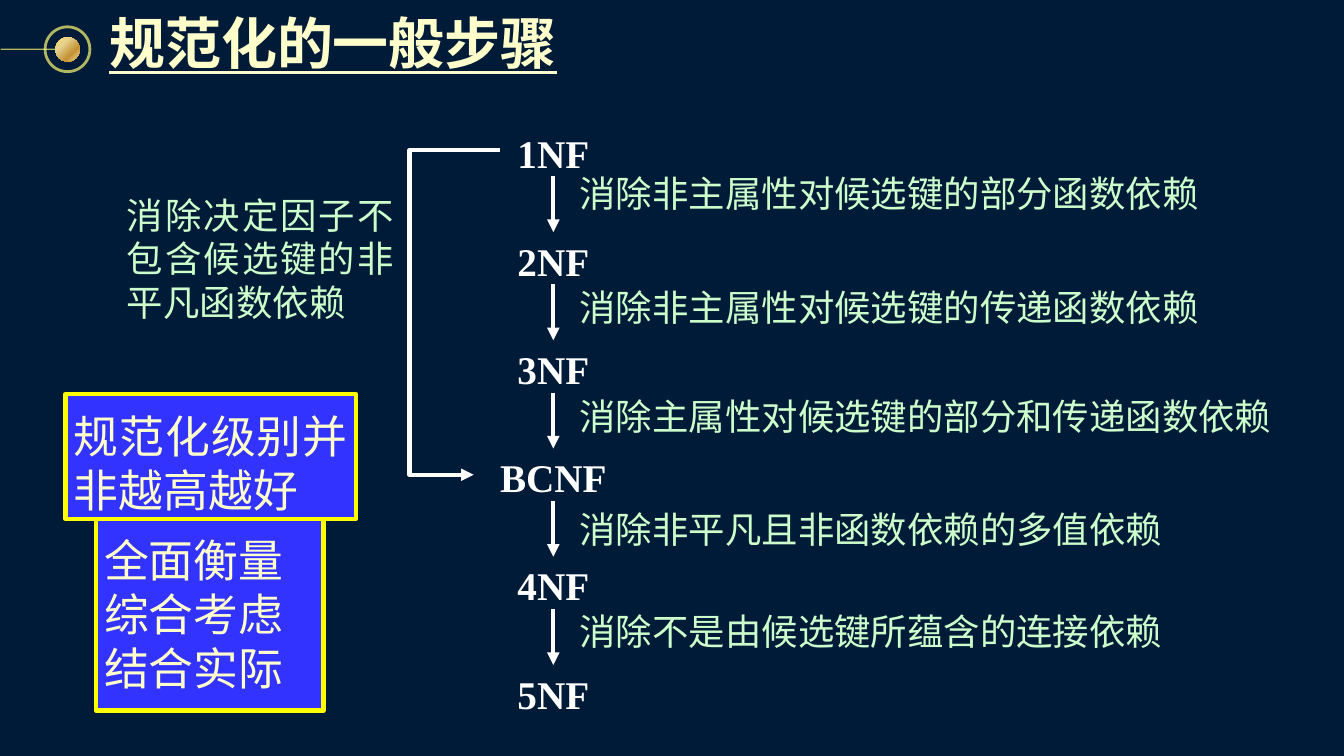
from dataclasses import dataclass

from lxml import etree
from pptx import Presentation
from pptx.dml.color import RGBColor
from pptx.enum.shapes import MSO_CONNECTOR, MSO_SHAPE
from pptx.enum.text import MSO_ANCHOR, MSO_AUTO_SIZE, PP_ALIGN
from pptx.oxml.ns import qn
from pptx.util import Pt

STRAIGHT, ELBOW = MSO_CONNECTOR.STRAIGHT, MSO_CONNECTOR.ELBOW
OVAL, RECTANGLE = MSO_SHAPE.OVAL, MSO_SHAPE.RECTANGLE
LEFT, CENTER, JUSTIFY = PP_ALIGN.LEFT, PP_ALIGN.CENTER, PP_ALIGN.JUSTIFY
TOP, MIDDLE = MSO_ANCHOR.TOP, MSO_ANCHOR.MIDDLE

NAVY, WHITE, CREAM, MINT = "001B37", "FFFFFF", "FFFFCC", "CCFFCC"
BLUE, YELLOW, PALE_YELLOW = "3333FF", "FFFF00", "FCF873"
GOLD_STOPS = [(0, "FCD860"), (31, "E6D38F"), (68, "C69135"), (100, "F1DF97")]
SERIF, CHINESE = "Times New Roman", "Noto Sans CJK SC"

FORM_TOP, FORM_PITCH, FORM_HEIGHT = 88.5, 77.3, 37.4
FORM_CENTER = 395.25


@dataclass
class Box:
    left: float
    top: float
    width: float
    height: float

    def lengths(self) -> tuple:
        return Pt(self.left), Pt(self.top), Pt(self.width), Pt(self.height)


@dataclass
class Remark:
    text: str
    box: Box


@dataclass
class Panel:
    lines: list
    box: Box


FORMS = ["1NF", "2NF", "3NF", "BCNF", "4NF", "5NF"]
REMARKS = [
    Remark("消除非主属性对候选键的部分函数依赖", Box(414, 119.5, 455, 31.7)),
    Remark("消除非主属性对候选键的传递函数依赖", Box(414, 200.5, 455, 31.7)),
    Remark("消除主属性对候选键的部分和传递函数依赖", Box(414, 278.5, 512, 31.7)),
    Remark("消除非平凡且非函数依赖的多值依赖", Box(414, 359.5, 432, 31.7)),
    Remark("消除不是由候选键所蕴含的连接依赖", Box(414, 432, 427, 31.7)),
    Remark("消除决定因子不包含候选键的非平凡函数依赖", Box(90.7, 134.6, 190.8, 94.3)),
]
PANELS = [
    Panel(["全面衡量", "综合考虑", "结合实际"], Box(68.4, 360.7, 162.7, 146.9)),
    Panel(["规范化级别并非越高越好"], Box(46.8, 281.5, 207.4, 89.3)),
]


def color(value: str) -> RGBColor:
    return RGBColor.from_string(value)


def write(shape, lines, *, size, fill, font=SERIF, bold=False, underline=False,
          align=LEFT, anchor=TOP, insets=(0, 0, 0, 0), spacing=None, wrap=True):
    frame = shape.text_frame
    frame.text = "\n".join(lines)
    frame.word_wrap = wrap
    frame.auto_size = MSO_AUTO_SIZE.NONE
    frame.vertical_anchor = anchor
    (frame.margin_left, frame.margin_top,
     frame.margin_right, frame.margin_bottom) = map(Pt, insets)
    for paragraph in frame.paragraphs:
        paragraph.alignment = align
        if spacing:
            paragraph.line_spacing = Pt(spacing)
        for run in paragraph.runs:
            run.font.size = Pt(size)
            run.font.name = font
            run.font.bold = bold
            run.font.underline = underline
            run.font.color.rgb = color(fill)
            latin = run.font._element.find(qn("a:latin"))
            east_asian = etree.Element(qn("a:ea"), typeface=CHINESE)
            latin.addnext(east_asian)


def format_line(line, value: str, width: float, opacity: int = 100):
    line.width = Pt(width)
    line.color.rgb = color(value)
    if opacity < 100:
        rgb = line._ln.find(".//" + qn("a:srgbClr"))
        etree.SubElement(rgb, qn("a:alpha"), val=str(opacity * 1000))


def add_line(slide, kind, start, end, value, width, opacity=100, arrow=False):
    connector = slide.shapes.add_connector(kind, *map(Pt, (*start, *end)))
    format_line(connector.line, value, width, opacity)
    if arrow:
        etree.SubElement(connector.line._ln, qn("a:tailEnd"), type="triangle")
    etree.SubElement(connector._element.spPr, qn("a:effectLst"))
    return connector


def add_shape(slide, kind, box: Box):
    shape = slide.shapes.add_shape(kind, *box.lengths())
    shape.shadow.inherit = False
    return shape


def add_ornament(slide):
    ring = add_shape(slide, OVAL, Box(32.2, 19.2, 32, 32))
    ring.fill.background()
    format_line(ring.line, PALE_YELLOW, 2, 70)
    add_line(slide, STRAIGHT, (0.5, 35.2), (39.6, 35.2), PALE_YELLOW, 0.75, 70)
    ball = add_shape(slide, OVAL, Box(39.6, 26.6, 17.4, 17.4))
    ball.line.fill.background()
    ball.fill.gradient()
    gradient = ball._element.spPr.find(qn("a:gradFill"))
    stops = gradient.find(qn("a:gsLst"))
    for stop in list(stops):
        stops.remove(stop)
    for position, value in GOLD_STOPS:
        stop = etree.SubElement(stops, qn("a:gs"), pos=str(position * 1000))
        etree.SubElement(stop, qn("a:srgbClr"), val=value)
    gradient.find(qn("a:lin")).set("ang", str(45 * 60000))


def add_form(slide, index: int, name: str):
    top = FORM_TOP + index * FORM_PITCH
    width = 114 if len(name) > 3 else 76
    box = Box(FORM_CENTER - width / 2, top, width, FORM_HEIGHT)
    label = slide.shapes.add_textbox(*box.lengths())
    write(label, [name], size=28, fill=WHITE, bold=True, align=CENTER,
          insets=(0, 3.6, 0, 0), wrap=False)
    if index < len(FORMS) - 1:
        add_line(slide, STRAIGHT, (FORM_CENTER, top + FORM_HEIGHT),
                 (FORM_CENTER, top + FORM_PITCH), WHITE, 3, arrow=True)


def add_bypass(slide):
    start_y = FORM_TOP + FORM_HEIGHT / 2
    end_y = start_y + FORMS.index("BCNF") * FORM_PITCH
    bypass = add_line(slide, ELBOW, (357.1, start_y), (338.4, end_y),
                      WHITE, 3, arrow=True)
    guides = bypass._element.spPr.find(qn("a:prstGeom")).find(qn("a:avLst"))
    etree.SubElement(guides, qn("a:gd"), name="adj1", fmla="val 344900")


def main():
    presentation = Presentation()
    presentation.slide_width, presentation.slide_height = Pt(960), Pt(540)
    slide = presentation.slides.add_slide(presentation.slide_layouts[5])
    slide.background.fill.solid()
    slide.background.fill.fore_color.rgb = color(NAVY)

    # Title and its ornament
    add_ornament(slide)
    title = slide.shapes.title
    title.left, title.top, title.width, title.height = Box(72, 0, 670, 59.8).lengths()
    write(title, ["规范化的一般步骤"], size=40, fill=CREAM, font="Arial", bold=True,
          underline=True, anchor=MIDDLE, insets=(6, 6, 6, 6))

    # Chain of normal forms
    for index, name in enumerate(FORMS):
        add_form(slide, index, name)
    add_bypass(slide)

    # Remarks on each step
    for remark in REMARKS:
        text_box = slide.shapes.add_textbox(*remark.box.lengths())
        write(text_box, [remark.text], size=26, fill=MINT, align=JUSTIFY,
              insets=(0, 3, 0, 0), spacing=31.2)

    # Advice panels
    for panel in PANELS:
        shape = add_shape(slide, RECTANGLE, panel.box)
        shape.fill.solid()
        shape.fill.fore_color.rgb = color(BLUE)
        format_line(shape.line, YELLOW, 3)
        write(shape, panel.lines, size=32, fill=CREAM, font=CHINESE, align=JUSTIFY,
              anchor=MIDDLE, insets=(6, 10, 6, 2), spacing=38.5)

    presentation.save("out.pptx")


if __name__ == "__main__":
    main()
